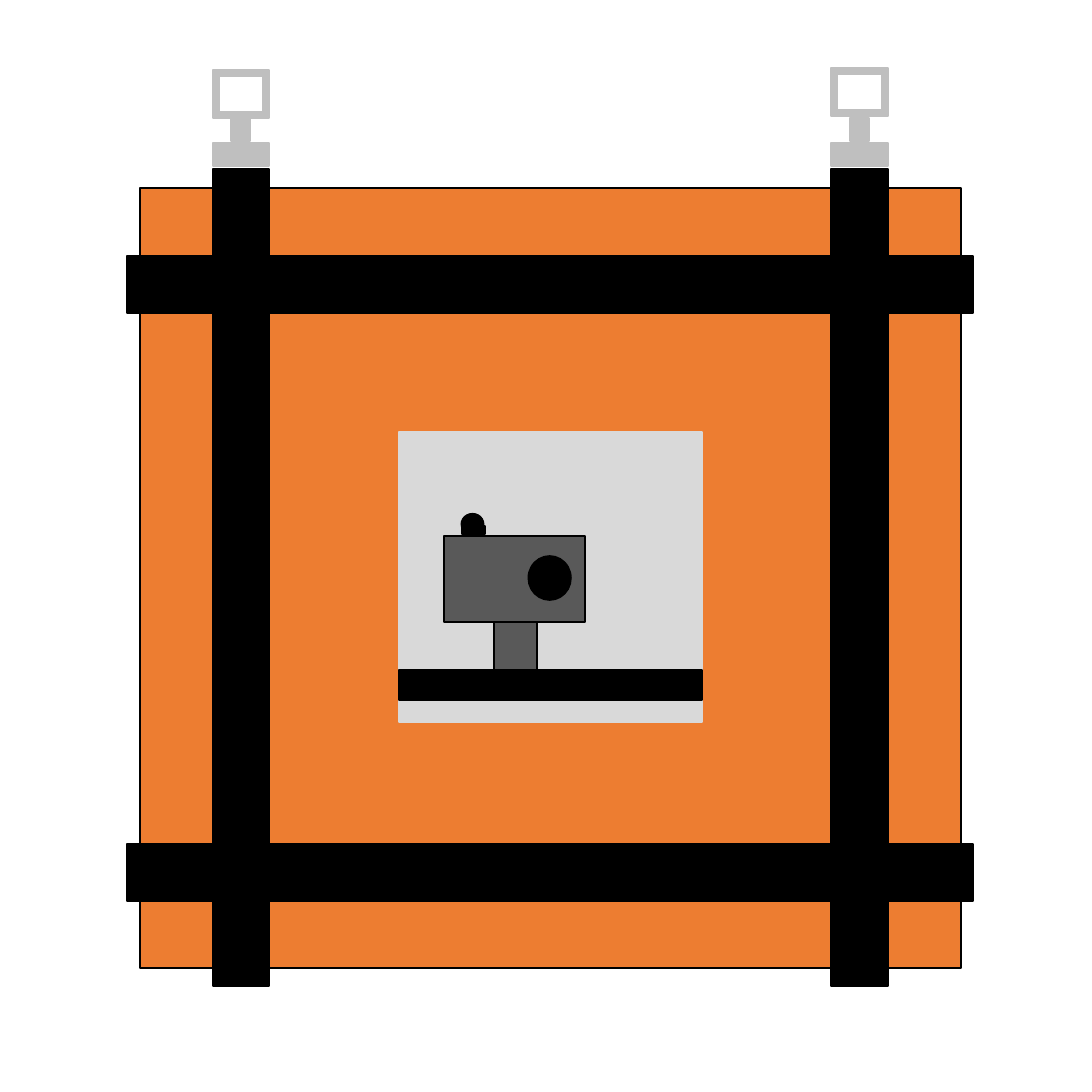
from pptx import Presentation
from pptx import util as u
from pptx.dml.color import RGBColor
from pptx.enum import shapes

COLOURS = {
    "panel": "ED7D31",
    "black": "000000",
    "metal": "BFBFBF",
    "window": "D9D9D9",
    "camera": "595959",
}
KINDS = shapes.MSO_SHAPE
STRAP_WIDTH = 0.39


def add_part(page, bounds, fill, line=None, kind=KINDS.RECTANGLE):
    """Add a filled shape with a 1 pt outline, in the fill colour by default."""
    part = page.shapes.add_shape(kind, *(u.Inches(value) for value in bounds))
    part.shadow.inherit = False
    part.fill.solid()
    part.fill.fore_color.rgb = RGBColor.from_string(COLOURS[fill])
    part.line.color.rgb = RGBColor.from_string(COLOURS[line or fill])
    part.line.width = u.Pt(1)
    return part


def add_straps(page, lefts, tops):
    """Cross the panel with vertical and horizontal straps."""
    for left in lefts:
        add_part(page, (left, 1.16, STRAP_WIDTH, 5.61), "black")
    for top in tops:
        add_part(page, (0.87, top, 5.81, STRAP_WIDTH), "black")


def add_buckle(page, left, ring_top):
    """Add the clasp, stem and ring above a vertical strap."""
    stem_width = 0.13
    stem_left = left + (STRAP_WIDTH - stem_width) / 2
    add_part(page, (left, 0.98, STRAP_WIDTH, 0.16), "metal")
    add_part(page, (stem_left, 0.81, stem_width, 0.16), "metal")
    add_part(page, (left, ring_top, STRAP_WIDTH, 0.33), "metal", kind=KINDS.FRAME)


def add_camera(page):
    """Add the camera with its lens, stand, shelf and rounded button."""
    add_part(page, (3.05, 3.68, 0.97, 0.59), "camera", "black")
    add_part(page, (3.63, 3.82, 0.29, 0.3), "black", kind=KINDS.OVAL)
    add_part(page, (3.39, 4.27, 0.3, 0.33), "camera", "black")
    add_part(page, (2.74, 4.6, 2.08, 0.21), "black")
    add_part(page, (3.17, 3.53, 0.15, 0.14), "black", kind=KINDS.OVAL)
    add_part(page, (3.17, 3.61, 0.16, 0.06), "black")


def main():
    """Build and save the strapped panel with its camera window."""
    deck = Presentation()
    deck.slide_width = deck.slide_height = u.Inches(7.5)
    page = deck.slides.add_slide(deck.slide_layouts[6])

    strap_lefts = (1.46, 5.71)
    add_part(page, (0.96, 1.29, 5.64, 5.36), "panel", "black")
    add_straps(page, strap_lefts, (1.76, 5.8))
    for left, ring_top in zip(strap_lefts, (0.48, 0.47)):
        add_buckle(page, left, ring_top)
    add_part(page, (2.74, 2.97, 2.08, 1.99), "window")
    add_camera(page)

    deck.save("out.pptx")


main()
